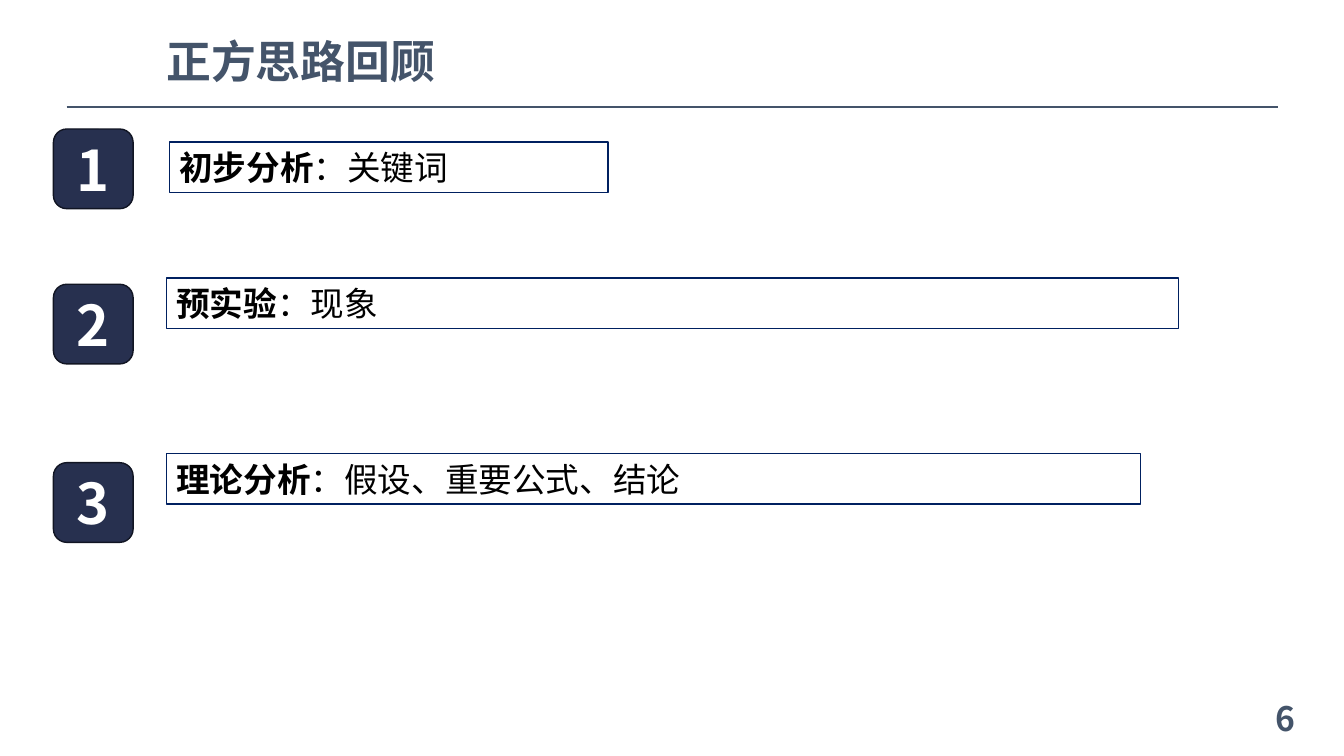
"""Build the slide that reviews the affirmative team's line of thought."""
from dataclasses import dataclass

from lxml import etree
from pptx import Presentation
from pptx import util as u
from pptx.dml.color import RGBColor
from pptx.enum import shapes, text
from pptx.oxml.ns import qn

HEADING = "正方思路回顾"
PAGE_NUMBER = "6"
STEPS = [
    {"topic": "初步分析", "detail": "：关键词", "badge_top": 128, "label": (168, 141, 435)},
    {"topic": "预实验", "detail": "：现象", "badge_top": 282, "label": (165, 276, 1004)},
    {"topic": "理论分析", "detail": "：假设、重要公式、结论", "badge_top": 459, "label": (165, 450, 966)},
]
SLIDE_SIZE = (1333, 750)
HEADING_BOX = (155, 28, 290, 64)
PAGE_BOX = (995, 687, 300, 50)
RULE = (66, 106, 1268, 106)
BADGE_LEFT, BADGE_SIDE, LABEL_HEIGHT = 53, 79, 50
EMU_PER_PX = 9144


@dataclass(frozen=True)
class Theme:
    """Colours, type sizes and font of the slide."""
    slate: str = "44546A"
    navy: str = "27304F"
    navy_edge: str = "111523"
    label_edge: str = "002060"
    white: str = "FFFFFF"
    black: str = "000000"
    heading: int = 32
    badge: int = 40
    body: int = 24
    font: str = "Noto Sans CJK SC"


THEME = Theme()


def px(*lengths):
    return [u.Emu(length * EMU_PER_PX) for length in lengths]


def colour(code):
    return RGBColor.from_string(code)


def style(run, size, code, bold=True):
    run.font.size, run.font.bold, run.font.name = u.Pt(size), bold, THEME.font
    run.font.color.rgb = colour(code)
    east_asian = etree.SubElement(run.font._element, qn("a:ea"))
    east_asian.set("typeface", THEME.font)


def write(frame, wording, size, code, align, anchor):
    frame.text = wording
    frame.word_wrap = True
    frame.vertical_anchor = anchor
    frame.paragraphs[0].alignment = align
    style(frame.paragraphs[0].runs[0], size, code)


def outline(line, code, width=1):
    line.color.rgb = colour(code)
    line.width = u.Pt(width)


def add_heading(slide):
    heading = slide.shapes.title
    heading.left, heading.top, heading.width, heading.height = px(*HEADING_BOX)
    write(heading.text_frame, HEADING, THEME.heading, THEME.slate,
          text.PP_ALIGN.LEFT, text.MSO_ANCHOR.TOP)
    heading.text_frame.auto_size = text.MSO_AUTO_SIZE.NONE


def add_rule(slide):
    rule = slide.shapes.add_connector(shapes.MSO_CONNECTOR.STRAIGHT, *px(*RULE))
    outline(rule.line, THEME.slate, 1.75)
    etree.SubElement(rule._element.spPr, qn("a:effectLst"))


def add_page_number(slide):
    page = slide.shapes.add_textbox(*px(*PAGE_BOX))
    write(page.text_frame, PAGE_NUMBER, THEME.body, THEME.slate,
          text.PP_ALIGN.RIGHT, text.MSO_ANCHOR.MIDDLE)


def add_step(slide, number, step):
    group = slide.shapes.add_group_shape()
    badge = group.shapes.add_shape(
        shapes.MSO_SHAPE.ROUNDED_RECTANGLE,
        *px(BADGE_LEFT, step["badge_top"], BADGE_SIDE, BADGE_SIDE))
    badge.shadow.inherit = False
    badge.fill.solid()
    badge.fill.fore_color.rgb = colour(THEME.navy)
    outline(badge.line, THEME.navy_edge)
    write(badge.text_frame, str(number), THEME.badge, THEME.white,
          text.PP_ALIGN.CENTER, text.MSO_ANCHOR.MIDDLE)

    label = group.shapes.add_textbox(*px(*step["label"], LABEL_HEIGHT))
    outline(label.line, THEME.label_edge)
    write(label.text_frame, step["topic"], THEME.body, THEME.black,
          text.PP_ALIGN.LEFT, text.MSO_ANCHOR.TOP)
    label.text_frame.auto_size = text.MSO_AUTO_SIZE.SHAPE_TO_FIT_TEXT
    detail = label.text_frame.paragraphs[0].add_run()
    detail.text = step["detail"]
    style(detail, THEME.body, THEME.black, bold=False)


def main():
    deck = Presentation()
    deck.slide_width, deck.slide_height = px(*SLIDE_SIZE)
    slide = deck.slides.add_slide(deck.slide_layouts.get_by_name("Title Only"))
    add_rule(slide)
    add_page_number(slide)
    add_heading(slide)
    for number, step in enumerate(STEPS, 1):
        add_step(slide, number, step)
    deck.save("out.pptx")


if __name__ == "__main__":
    main()
